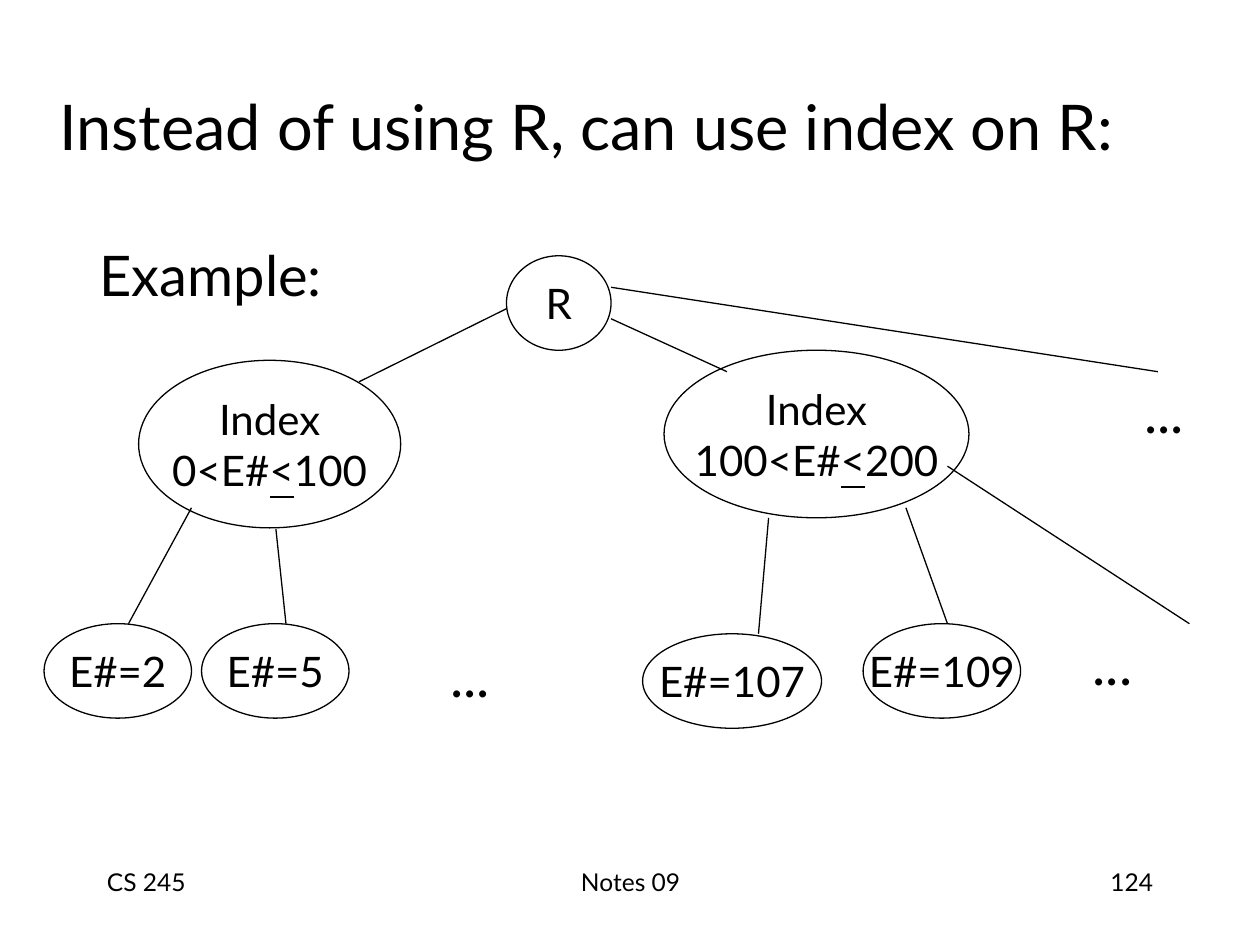
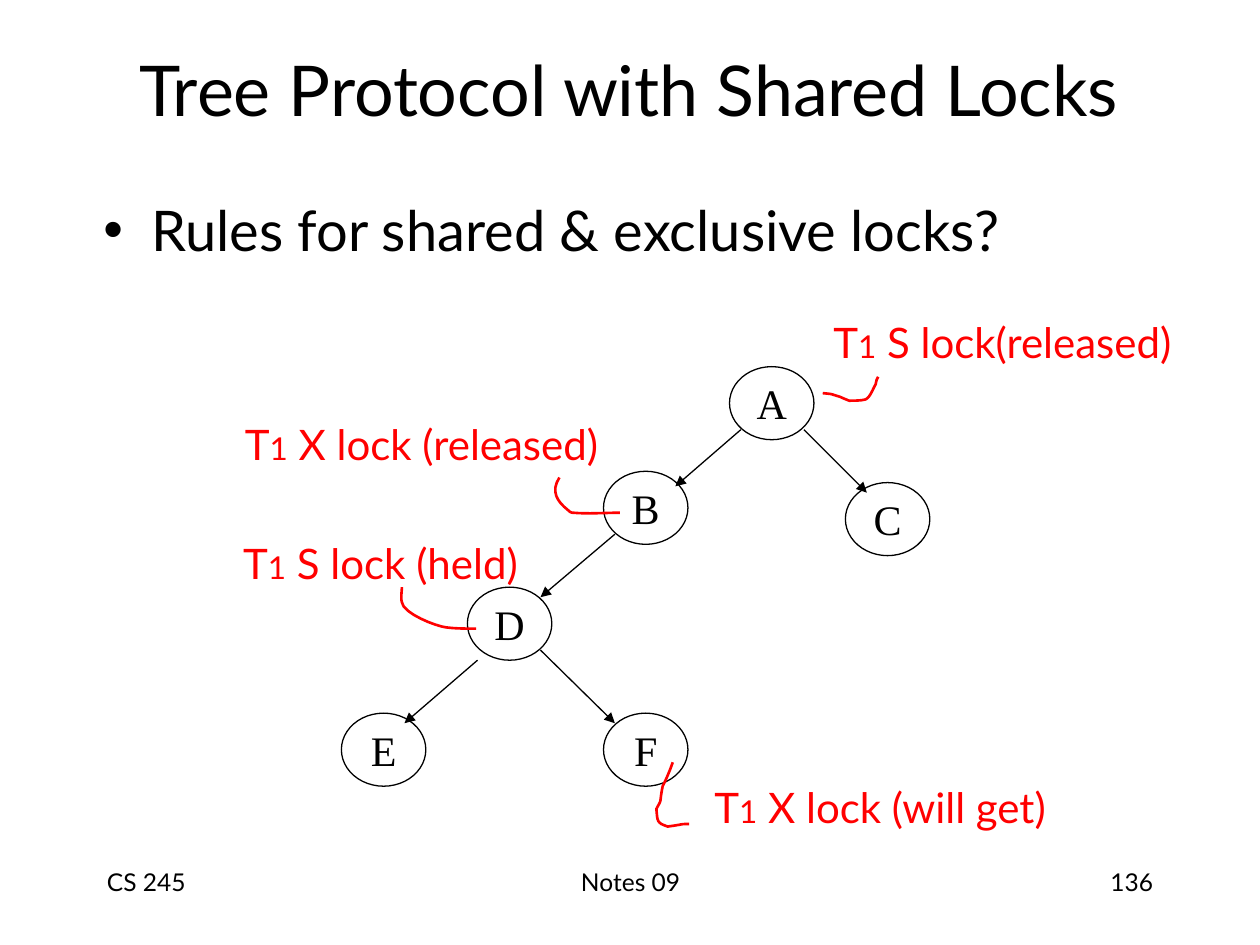
from dataclasses import dataclass

from lxml import etree
from pptx import Presentation
from pptx import util as u
from pptx.dml.color import RGBColor
from pptx.enum import shapes, text
from pptx.oxml import ns

SCALE = 9144
LEFT, MID, RIGHT = text.PP_ALIGN.LEFT, text.PP_ALIGN.CENTER, text.PP_ALIGN.RIGHT


@dataclass(frozen=True)
class Theme:
    ink: str = "000000"
    paper: str = "FFFFFF"
    mark: str = "FF0000"
    sans: str = "Lato"
    serif: str = "Times New Roman"
    head: int = 40
    body: int = 32
    node: int = 24
    sub: int = 18
    foot: int = 14
    thin: float = 0.75
    thick: float = 1.5


THEME = Theme()


def px(*nums):
    return [u.Emu(round(n * SCALE)) for n in nums]


def rgb(code):
    return RGBColor.from_string(code)


def write(frame, paras, size=THEME.node, face=THEME.sans, color=THEME.ink,
          align=MID, anchor=text.MSO_ANCHOR.MIDDLE, wrap=False):
    frame.auto_size = text.MSO_AUTO_SIZE.NONE
    frame.word_wrap = wrap
    frame.vertical_anchor = anchor
    for i, runs in enumerate(paras):
        para = frame.add_paragraph() if i else frame.paragraphs[0]
        para.alignment = align
        para.space_before = u.Pt(0)
        for words, form in [(runs, {})] if isinstance(runs, str) else runs:
            run = para.add_run()
            run.text = words
            run.font.name = face
            run.font.color.rgb = rgb(color)
            run.font.size = u.Pt(form.get("size", size))
            run.font.underline = form.get("under")


def bezier(start, steps, count=8):
    dots = []
    for ax, ay, bx, by, ex, ey in steps:
        sx, sy = start
        for i in range(1, count + 1):
            t = i / count
            w = ((1 - t) ** 3, 3 * t * (1 - t) ** 2, 3 * t * t * (1 - t), t ** 3)
            dots.append((sum(a * b for a, b in zip(w, (sx, ax, bx, ex))),
                         sum(a * b for a, b in zip(w, (sy, ay, by, ey)))))
        start = ex, ey
    return dots


class Deck:
    def __init__(self, theme):
        self.theme = theme
        self.show = Presentation()
        self.show.slide_width, self.show.slide_height = px(1000, 750)
        self.slide = None

    def page(self, number):
        self.slide = self.show.slides.add_slide(self.show.slide_layouts[1])
        self.slide.background.fill.solid()
        self.slide.background.fill.fore_color.rgb = rgb(self.theme.paper)
        for words, left, width, align in (("CS 245", 75, 208, LEFT),
                                          ("Notes 09", 342, 317, MID),
                                          (number, 717, 208, RIGHT)):
            self.label([words], (left, 683, width, 50), size=self.theme.foot,
                       align=align, anchor=text.MSO_ANCHOR.TOP, wrap=True)

    def place(self, shape, spot):
        shape.left, shape.top, shape.width, shape.height = px(*spot)

    def title(self, words, spot, **form):
        self.place(self.slide.shapes.title, spot)
        write(self.slide.shapes.title.text_frame, [words], wrap=True, **form)

    def body(self, words, spot, bullet=None):
        shape = self.slide.placeholders[1]
        self.place(shape, spot)
        write(shape.text_frame, [words], size=self.theme.body, align=LEFT,
              anchor=text.MSO_ANCHOR.TOP, wrap=True)
        props = shape.text_frame.paragraphs[0]._p.get_or_add_pPr()
        indent, = px(38)
        props.set("marL", str(indent))
        props.set("indent", str(-indent))
        if bullet:
            etree.SubElement(props, ns.qn("a:buChar")).set("char", bullet)
        else:
            etree.SubElement(props, ns.qn("a:buNone"))

    def label(self, paras, spot, **form):
        write(self.slide.shapes.add_textbox(*px(*spot)).text_frame, paras, **form)

    def stroke(self, shape, color, width):
        shape.line.color.rgb = rgb(color)
        shape.line.width = u.Pt(width)

    def oval(self, paras, spot, **form):
        shape = self.slide.shapes.add_shape(shapes.MSO_SHAPE.OVAL, *px(*spot))
        shape.shadow.inherit = False
        shape.fill.solid()
        shape.fill.fore_color.rgb = rgb(self.theme.paper)
        self.stroke(shape, self.theme.ink, self.theme.thin)
        write(shape.text_frame, paras, **form)

    def link(self, ends, arrow=False):
        line = self.slide.shapes.add_connector(shapes.MSO_CONNECTOR.STRAIGHT, *px(*ends))
        self.stroke(line, self.theme.ink, self.theme.thin)
        props = line._element.spPr
        if arrow:
            edge = props.find(ns.qn("a:ln"))
            etree.SubElement(edge, ns.qn("a:tailEnd")).set("type", "triangle")
        etree.SubElement(props, ns.qn("a:effectLst"))

    def curve(self, start, *steps):
        pen = self.slide.shapes.build_freeform(*px(*start), scale=1.0)
        pen.add_line_segments([px(*dot) for dot in bezier(start, steps)], close=False)
        shape = pen.convert_to_shape()
        shape.shadow.inherit = False
        shape.fill.background()
        self.stroke(shape, self.theme.mark, self.theme.thick)


def index(deck):
    deck.page("124")
    deck.title("Instead of using R, can use index on R:", (37, 37, 914, 125),
               size=36, align=LEFT)
    deck.body("Example:", (69, 186, 850, 450))
    deck.oval(["R"], (402, 203, 83, 75))
    for low, high, spot in (("0", "100", (110, 286, 208, 133)),
                            ("100", "200", (527, 278, 242, 133))):
        span = [(f"{low}<E#", {}), ("<", {"under": True}), (high, {})]
        deck.oval(["Index", span], spot)
    for key, left, top, width in ((2, 35, 495, 117), (5, 160, 495, 117),
                                  (107, 510, 503, 142), (109, 685, 495, 125)):
        deck.oval([f"E#={key}"], (left, top, width, 75))
    for ends in ((152, 403, 102, 495), (219, 420, 227, 495), (610, 411, 602, 503),
                 (719, 403, 752, 495), (752, 370, 944, 495), (402, 245, 285, 303),
                 (485, 253, 577, 295), (485, 228, 919, 295)):
        deck.link(ends)
    for left, top in ((345, 504), (896, 294), (855, 494)):
        deck.label(["..."], (left, top, 56, 64), size=deck.theme.body)


def locks(deck):
    look = deck.theme
    deck.page("136")
    deck.title("Tree Protocol with Shared Locks", (74, 20, 850, 101), size=look.head)
    deck.body("Rules for shared & exclusive locks?", (72, 150, 850, 72), bullet="•")
    for name, left, top in (("A", 579, 291), ("B", 479, 374), ("C", 671, 383),
                            ("D", 371, 466), ("E", 271, 566), ("F", 479, 566)):
        deck.oval([name], (left, top, 67, 58), face=look.serif)
    for ends in ((588, 341, 536, 386), (488, 424, 429, 474), (379, 524, 321, 574),
                 (429, 516, 488, 574), (638, 341, 688, 391)):
        deck.link(ends, arrow=True)
    for words, left, top, width in ((" S lock(released)", 643, 246, 305),
                                    (" S lock (held)", 178, 422, 248),
                                    (" X lock (released)", 177, 327, 315),
                                    (" X lock (will get)", 552, 615, 293)):
        runs = [("T", {}), ("1", {"size": look.sub}), (words, {})]
        deck.label([runs], (left, top, width, 50), color=look.mark)
    deck.curve((653, 312), (662, 313, 657, 312, 667, 315),
               (669, 316, 674, 318, 674, 318), (678, 318, 683, 318, 687, 317),
               (691, 315, 693, 308, 695, 305), (696, 301, 695, 303, 697, 299))
    deck.curve((534, 605), (532, 611, 529, 618, 526, 624),
               (523, 639, 526, 633, 521, 642), (522, 652, 521, 653, 530, 656),
               (545, 654, 539, 654, 547, 654))
    deck.curve((378, 499), (370, 499, 362, 499, 354, 498),
               (346, 497, 320, 487, 319, 478), (318, 474, 319, 470, 319, 466))
    deck.curve((444, 379), (437, 390, 442, 398, 451, 405),
               (452, 406, 453, 407, 455, 407), (467, 408, 479, 407, 492, 407))


def main():
    deck = Deck(THEME)
    index(deck)
    locks(deck)
    deck.show.save("out.pptx")


if __name__ == "__main__":
    main()
